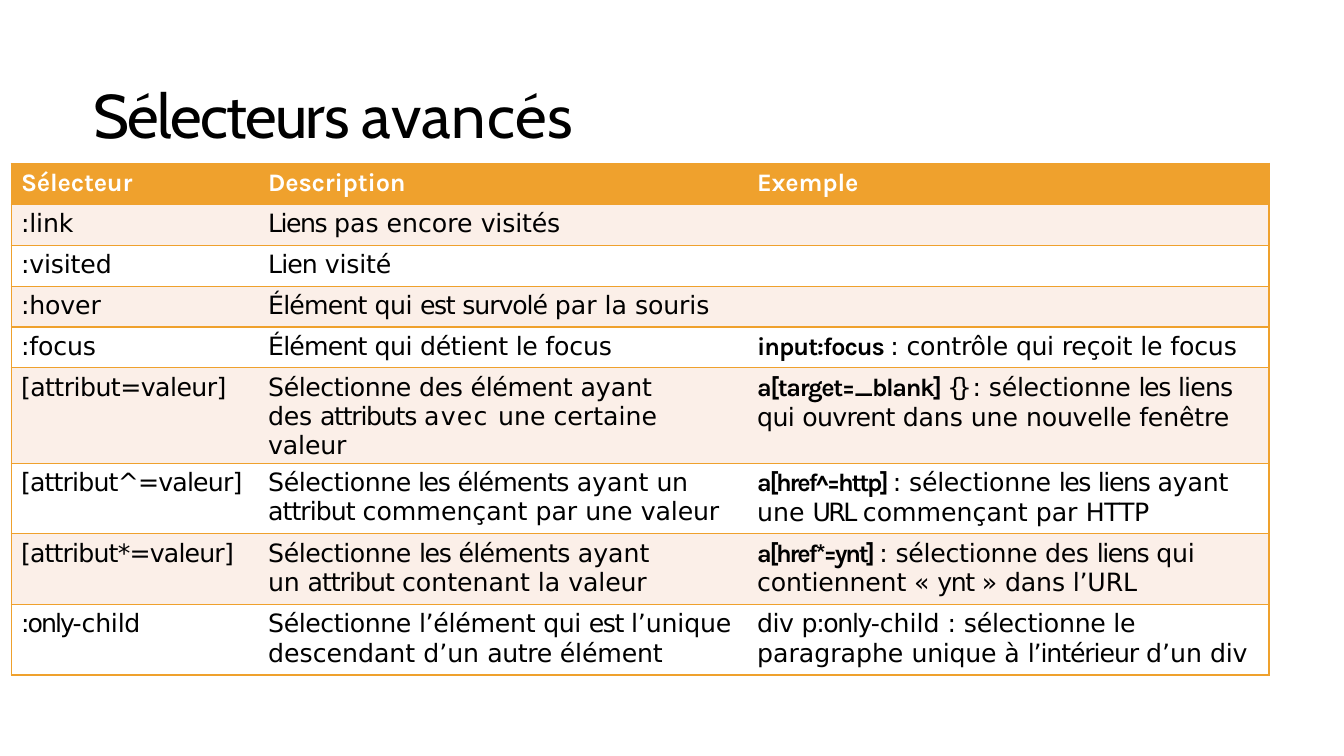
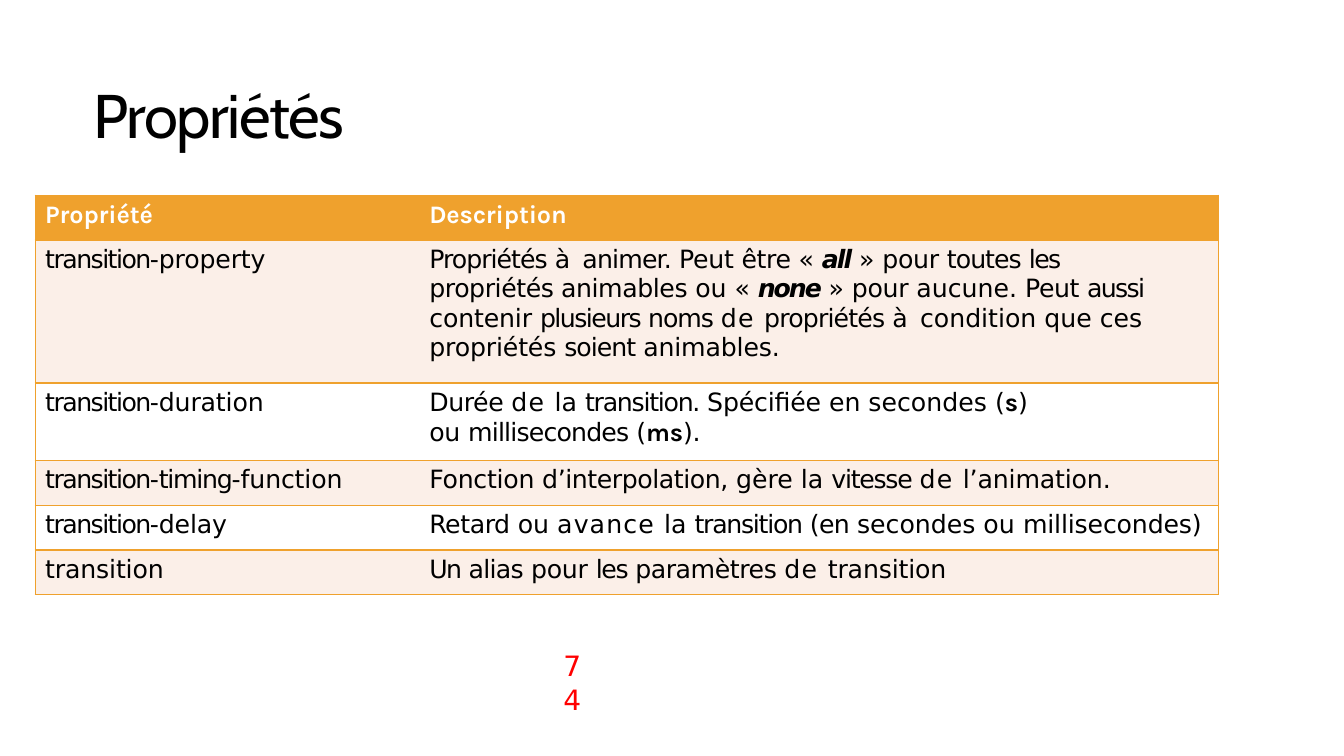
from dataclasses import dataclass

from lxml.etree import SubElement
from pptx import Presentation
from pptx.dml.color import RGBColor
from pptx.enum.text import MSO_ANCHOR, MSO_AUTO_SIZE, PP_ALIGN
from pptx.oxml.ns import qn
from pptx.util import Cm, Pt


@dataclass(frozen=True)
class Theme:
    orange: RGBColor = RGBColor(0xEF, 0xA1, 0x2D)
    cream: RGBColor = RGBColor(0xFB, 0xEF, 0xE8)
    white: RGBColor = RGBColor(0xFF, 0xFF, 0xFF)
    black: RGBColor = RGBColor(0x00, 0x00, 0x00)
    red: RGBColor = RGBColor(0xFF, 0x00, 0x00)
    title_font: str = "Cabin"
    body_font: str = "DejaVu Sans"
    strong_font: str = "Karla"
    title_size: Pt = Pt(44)
    number_size: Pt = Pt(20)
    table_size: Pt = Pt(18)
    border: Pt = Pt(1)


THEME = Theme()
NO_STYLE_NO_GRID = "{2D5ABB26-0587-4C30-8999-92F81FD0307C}"
DEFAULT_SPACING = -0.1
STRONG, EMPHASIS = "strong", "emphasis"


def add_runs(paragraph, runs, font_name, size, color):
    """Add runs given as text or as (text, letter spacing in points[, style])."""
    for item in runs:
        text, spacing, *style = (item, DEFAULT_SPACING) if isinstance(item, str) else item
        run = paragraph.add_run()
        run.text = text
        run.font.name = THEME.strong_font if STRONG in style else font_name
        run.font.size = size
        run.font.color.rgb = color
        run.font.bold = bool(style)
        run.font.italic = EMPHASIS in style
        run.font._element.set("spc", str(round(spacing * 100)))


def add_border(cell, side):
    line = SubElement(cell._tc.get_or_add_tcPr(), qn(f"a:ln{side}"), w=str(THEME.border))
    fill = SubElement(line, qn("a:solidFill"))
    SubElement(fill, qn("a:srgbClr"), val=str(THEME.orange))


SELECTOR_ROWS = [
    [[("Sélecteur", -0.1, STRONG)], [("Description", -0.1, STRONG)], [("Exemple", -0.1, STRONG)]],
    [[":link"], [("Liens ", -1.1), ("pas encore ", 0), "visités"], []],
    [[":visited"], [("Lien ", -0.7), "visité"], []],
    [
        [":hover"],
        [("Élément ", -0.6), ("qui ", -0.4), ("est ", -1), ("survolé ", -0.8),
         ("par la ", 0), "souris"],
        [],
    ],
    [
        [":focus"],
        [("Élément ", -0.6), ("qui ", -0.4), ("détient ", -0.2), ("le ", -0.3), "focus"],
        [("input:focus ", -0.7, STRONG), ": ", "contrôle ", ("qui ", -0.3),
         "reçoit ", ("le ", -0.2), "focus"],
    ],
    [
        [("[attribut=valeur]", -0.4)],
        [("Sélectionne ", -0.3), ("des élément ", -0.2), ("ayant ", 0), ("des ", -0.2),
         ("attributs ", -0.9), ("avec ", 0.9), ("une certaine ", 0), "valeur"],
        [("a[target=_blank] ", -1, STRONG), ("{} ", -5.2), ": ",
         ("sélectionne ", -0.2), ("les ", -1), ("liens ", -0.6), ("qui ", -0.4),
         ("ouvrent ", -0.5), "dans ", ("une ", 0), ("nouvelle ", -0.2), "fenêtre"],
    ],
    [
        [("[attribut^=valeur]", -0.6)],
        [("Sélectionne", -0.3), (" les ", -1), ("éléments ", -0.5), ("ayant ", 0),
         ("un ", -0.2), ("attribut ", -0.7), ("commençant par une ", 0), "valeur"],
        [("a[href^=http] ", -1.6, STRONG), ": ", ("sélectionne ", -0.2),
         ("les ", -1.1), ("liens ", -1), "ayant ", ("une ", 0), ("URL ", -1.8),
         ("commençant par ", 0), ("HTTP", -0.2)],
    ],
    [
        [("[attribut*=valeur]", -0.6)],
        [("Sélectionne ", -0.3), ("les ", -1), ("éléments ", -0.5), ("ayant ", 0),
         ("un ", -0.2), ("attribut ", -0.7), ("contenant la ", 0), "valeur"],
        [("a[href*=ynt] ", -1.6, STRONG), ": ", ("sélectionne des ", -0.2),
         ("liens ", -1), ("qui ", -0.2), "contiennent ", "« ", ("ynt ", -1),
         "» ", "dans l’URL"],
    ],
    [
        [(":only-", -1.4), ("child", -0.2)],
        [("Sélectionne ", -0.3), ("l’élément ", -0.2), ("qui ", -0.4), ("est ", -1),
         "l’unique ", ("descendant d’un ", 0), ("autre ", -0.3), "élément"],
        [("div ", -0.3), ("p:only-", -1), ("child ", 0), ": ",
         ("sélectionne le ", -0.2), ("paragraphe ", 0), ("unique ", -0.2), ("à ", 0),
         ("l’intérieur ", -0.8), ("d’un ", 0), ("div", -0.2)],
    ],
]

PROPERTY_ROWS = [
    [[("Propriété", -0.1, STRONG)], [("Description", -0.1, STRONG)]],
    [
        [("transition-", -1.1), "property"],
        [("Propriétés ", -0.7), ("à ", 1.5), ("animer. ", -0.6), ("Peut ", -0.2),
         ("être ", -0.3), "« ", ("all ", -1.4, EMPHASIS), "» ",
         ("pour ", -0.2), ("toutes ", -0.7), ("les ", -1.1),
         ("propriétés animables ", -0.3), ("ou ", 0), "« ",
         ("none ", -1.5, EMPHASIS), "» ", ("pour ", -0.2), ("aucune. ", 0),
         ("Peut ", -0.3), ("aussi ", -1.2), "contenir ", ("plusieurs ", -1.1),
         ("noms ", -0.8), ("de ", 0.9), ("propriétés ", -0.6), ("à ", 1.5),
         ("condition que ces ", 0), "propriétés ", ("soient ", -0.7), "animables."],
    ],
    [
        [("transition-", -1.1), "duration"],
        [("Durée ", -0.3), ("de ", 0.9), ("la ", 0), ("transition. ", -0.9), "Spécifiée ",
         ("en secondes ", 0), ("(", -1.7), ("s", -1.7, STRONG), (") ", -1.7),
         ("ou ", -0.2), ("millisecondes ", -0.6), ("(", -0.2), ("ms", -0.2, STRONG),
         (").", -0.2)],
    ],
    [
        [("transition-", -1.1), ("timing-", -0.9), "function"],
        [("Fonction ", -0.2), ("d’interpolation, ", -0.3), ("gère la ", 0),
         ("vitesse ", -0.9), ("de ", 0.9), "l’animation."],
    ],
    [
        [("transition-", -1.1), "delay"],
        [("Retard ", -0.3), ("ou ", 0), ("avance ", 0.8), ("la ", 0), ("transition ", -0.9),
         ("(en ", -0.5), ("secondes ou ", 0), "millisecondes)"],
    ],
    [
        ["transition"],
        [("Un ", -1.1), ("alias ", -0.5), ("pour ", -0.2), ("les ", -1),
         ("paramètres ", -0.3), ("de ", 0.9), "transition"],
    ],
]

# Lengths are in centimetres; right_margins maps (row, column) to a margin.
SLIDES = [
    dict(
        title=[("Sélecteurs ", -1.2), ("avancés", 0.5)],
        table_at=(0.28, 4.12), rows=SELECTOR_ROWS,
        widths=[6.05, 12.37, 13.28], indents=[0.25, 0.43, 0.38],
        heights=[1.03] * 5 + [2.4] + [1.78] * 3,
        right_margins={(5, 1): 1.85, (7, 1): 1.85},
    ),
    dict(
        title=[("Propriétés", -1.1)], number="74",
        table_at=(0.89, 4.92), rows=PROPERTY_ROWS,
        widths=[8.89, 20.93], indents=[0.25, 1.04],
        heights=[1.13, 3.6, 1.95] + [1.13] * 3,
        right_margins={(1, 1): 1.3, (2, 1): 4.4},
    ),
]

deck = Presentation()
deck.slide_width, deck.slide_height = Cm(33.87), Cm(19.05)

for content in SLIDES:
    slide = deck.slides.add_slide(deck.slide_layouts[5])

    title = slide.shapes.title
    title.left, title.top, title.width, title.height = Cm(2.36), Cm(1.02), Cm(29.21), Cm(3.68)
    heading = title.text_frame
    heading.margin_left = heading.margin_right = heading.margin_bottom = 0
    heading.margin_top = Cm(0.03)
    heading.vertical_anchor = MSO_ANCHOR.MIDDLE
    heading.auto_size = MSO_AUTO_SIZE.NONE
    heading.paragraphs[0].alignment = PP_ALIGN.LEFT
    add_runs(heading.paragraphs[0], content["title"],
             THEME.title_font, THEME.title_size, THEME.black)

    if "number" in content:
        number = slide.shapes.add_textbox(
            Cm(14.17), Cm(16.31), Cm(0.86), Cm(0.91)).text_frame
        number.word_wrap = True
        number.margin_left = number.margin_top = Cm(0.03)
        number.margin_right, number.margin_bottom = Cm(0.15), 0
        add_runs(number.paragraphs[0], [(content["number"], -1.4)],
                 THEME.body_font, THEME.number_size, THEME.red)

    rows, widths, heights = content["rows"], content["widths"], content["heights"]
    table_left, table_top = content["table_at"]
    table_frame = slide.shapes.add_table(
        len(rows), len(widths), Cm(table_left), Cm(table_top),
        Cm(sum(widths)), Cm(sum(heights)))
    table = table_frame.table
    table.horz_banding = False
    table._tbl.tblPr.find(qn("a:tableStyleId")).text = NO_STYLE_NO_GRID
    for column, width in zip(table.columns, widths):
        column.width = Cm(width)

    for row_index, (row, height) in enumerate(zip(rows, heights)):
        table.rows[row_index].height = Cm(height)
        is_header = row_index == 0
        band = THEME.orange if is_header else (THEME.white, THEME.cream)[row_index % 2]
        for column_index, runs in enumerate(row):
            cell = table.cell(row_index, column_index)
            cell.margin_left = Cm(content["indents"][column_index])
            cell.margin_right = Cm(content["right_margins"].get((row_index, column_index), 0))
            cell.margin_top, cell.margin_bottom = Cm(0.13), 0
            if column_index == 0:
                add_border(cell, "L")
            if column_index == len(row) - 1:
                add_border(cell, "R")
            add_border(cell, "T")
            add_border(cell, "B")
            cell.fill.solid()
            cell.fill.fore_color.rgb = band
            add_runs(cell.text_frame.paragraphs[0], runs, THEME.body_font,
                     THEME.table_size, THEME.white if is_header else THEME.black)

deck.save("out.pptx")
